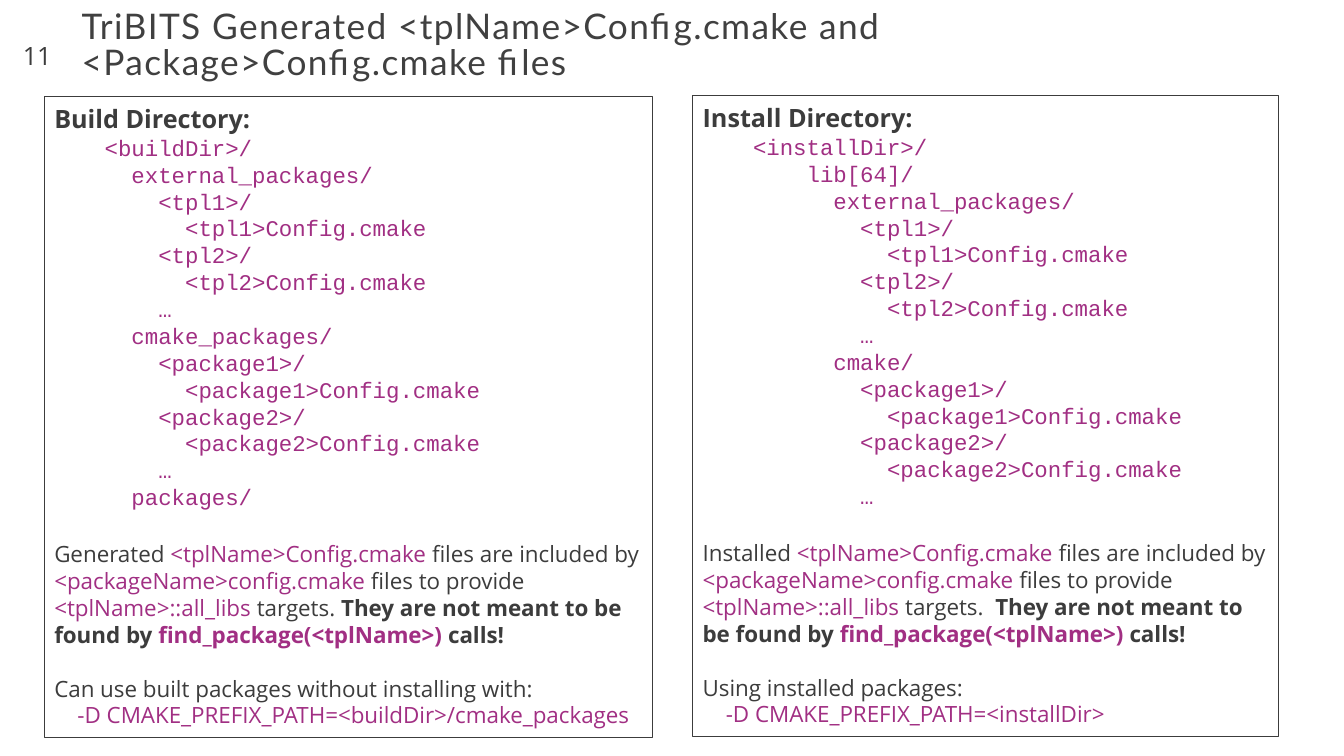
from pptx import Presentation
from pptx.dml.color import RGBColor
from pptx.enum import shapes, text
from pptx.util import Inches, Pt

DARK = RGBColor(0x3C, 0x3C, 0x3C)
TITLE_GRAY = RGBColor(0x40, 0x40, 0x40)
PURPLE = RGBColor(0xA1, 0x2F, 0x83)
BODY_FONT = "Open Sans"
CODE_FONT = "Courier New"
LINE_RATIO = 1.2


def set_font(font, name, size, color):
    """Set the typeface, size and colour of a font."""
    font.name = name
    font.size = Pt(size)
    font.color.rgb = color


def add_label(slide, box, content, font_name, size, color):
    """Add a wrapped one-paragraph text box and return its frame."""
    frame = slide.shapes.add_textbox(*map(Inches, box)).text_frame
    frame.word_wrap = True
    paragraph = frame.paragraphs[0]
    paragraph.text = content
    set_font(paragraph.font, font_name, size, color)
    return frame


def add_title(slide, content):
    """Add the letter-spaced slide title."""
    frame = add_label(slide, (0.76, 0.06, 11.7, 0.55), content, "Lato", 25.2, TITLE_GRAY)
    frame.margin_left = frame.margin_right = Inches(0.05)
    paragraph = frame.paragraphs[0]
    paragraph.line_spacing = 0.85
    paragraph.runs[0].font._element.set("spc", "100")


def add_page_number(slide, number):
    """Add the right-aligned page number beside the title."""
    frame = add_label(slide, (0.02, 0.35, 0.59, 0.4), number, BODY_FONT, 18, DARK)
    frame.vertical_anchor = text.MSO_ANCHOR.MIDDLE
    frame.paragraphs[0].alignment = text.PP_ALIGN.RIGHT


def add_panel(slide, box):
    """Add an outlined panel and return its top-anchored text frame."""
    shape = slide.shapes.add_shape(shapes.MSO_SHAPE.RECTANGLE, *map(Inches, box))
    shape.shadow.inherit = False
    shape.fill.background()
    shape.line.color.rgb = DARK
    shape.line.width = Pt(0.75)
    frame = shape.text_frame
    frame.word_wrap = True
    frame.vertical_anchor = text.MSO_ANCHOR.TOP
    frame.margin_top = Inches(0.07)
    return frame


def add_line(frame, content="", font_name=BODY_FONT, size=16, color=DARK, indent=0, gap=0):
    """Append a left-aligned paragraph, reusing the first empty one."""
    first = frame.paragraphs[0]
    paragraph = frame.add_paragraph() if first.runs else first
    paragraph.alignment = text.PP_ALIGN.LEFT
    paragraph.line_spacing = Pt(size * LINE_RATIO)
    if gap:
        paragraph.space_before = Pt(gap)
    if indent:
        paragraph._p.get_or_add_pPr().set("marL", str(Inches(indent)))
    if content:
        paragraph.add_run().text = content
    set_font(paragraph.font, font_name, size, color)
    return paragraph


def add_explanation(frame, opening, sentence_gap):
    """Append the note on how the generated files are used."""
    paragraph = add_line(frame, gap=21.6)
    for content, color, bold in [
        (opening + " ", DARK, False),
        ("<tplName>Config.cmake", PURPLE, False),
        (" files are included by ", DARK, False),
        ("<packageName>config.cmake", PURPLE, False),
        (" files to provide ", DARK, False),
        ("<tplName>::all_libs", PURPLE, False),
        (" targets." + sentence_gap, DARK, False),
        ("They are not meant to be found by ", DARK, True),
        ("find_package(<tplName>)", PURPLE, True),
        (" calls!", DARK, True),
    ]:
        run = paragraph.add_run()
        run.text = content
        run.font.color.rgb = color
        run.font.bold = bold


def folder_tree(folder, stem, depth):
    """Return the listing of a folder holding two numbered packages."""
    lines = [f"{folder}/"]
    for number in (1, 2):
        lines += [f"  <{stem}{number}>/", f"    <{stem}{number}>Config.cmake"]
    return [" " * depth + line for line in lines + ["  …"]]


def add_directory(slide, box, heading, tree, opening, sentence_gap, usage, command):
    """Add a panel with a directory listing and usage notes."""
    frame = add_panel(slide, box)
    add_line(frame, heading, size=18).font.bold = True
    for entry in tree:
        add_line(frame, entry, CODE_FONT, color=PURPLE, indent=0.5)
    add_explanation(frame, opening, sentence_gap)
    add_line(frame, usage, gap=19.2)
    add_line(frame, command, color=PURPLE, indent=0.23)


def main():
    """Build and save the slide."""
    presentation = Presentation()
    presentation.slide_width = Inches(13.33)
    presentation.slide_height = Inches(7.5)
    slide = presentation.slides.add_slide(presentation.slide_layouts[6])

    add_title(slide, "TriBITS Generated <tplName>Config.cmake and <Package>Config.cmake files")
    build_tree = [
        "<buildDir>/",
        *folder_tree("external_packages", "tpl", 2),
        *folder_tree("cmake_packages", "package", 2),
        "  packages/",
    ]
    add_directory(
        slide, (0.44, 0.96, 6.03, 6.36), "Build Directory:", build_tree, "Generated", " ",
        "Can use built packages without installing with:",
        "-D CMAKE_PREFIX_PATH=<buildDir>/cmake_packages",
    )
    install_tree = [
        "<installDir>/",
        "    lib[64]/",
        *folder_tree("external_packages", "tpl", 6),
        *folder_tree("cmake", "package", 6),
    ]
    add_directory(
        slide, (6.87, 0.95, 5.81, 6.36), "Install Directory:", install_tree, "Installed", "  ",
        "Using installed packages:",
        "-D CMAKE_PREFIX_PATH=<installDir>",
    )
    add_page_number(slide, "11")
    presentation.save("out.pptx")


if __name__ == "__main__":
    main()
